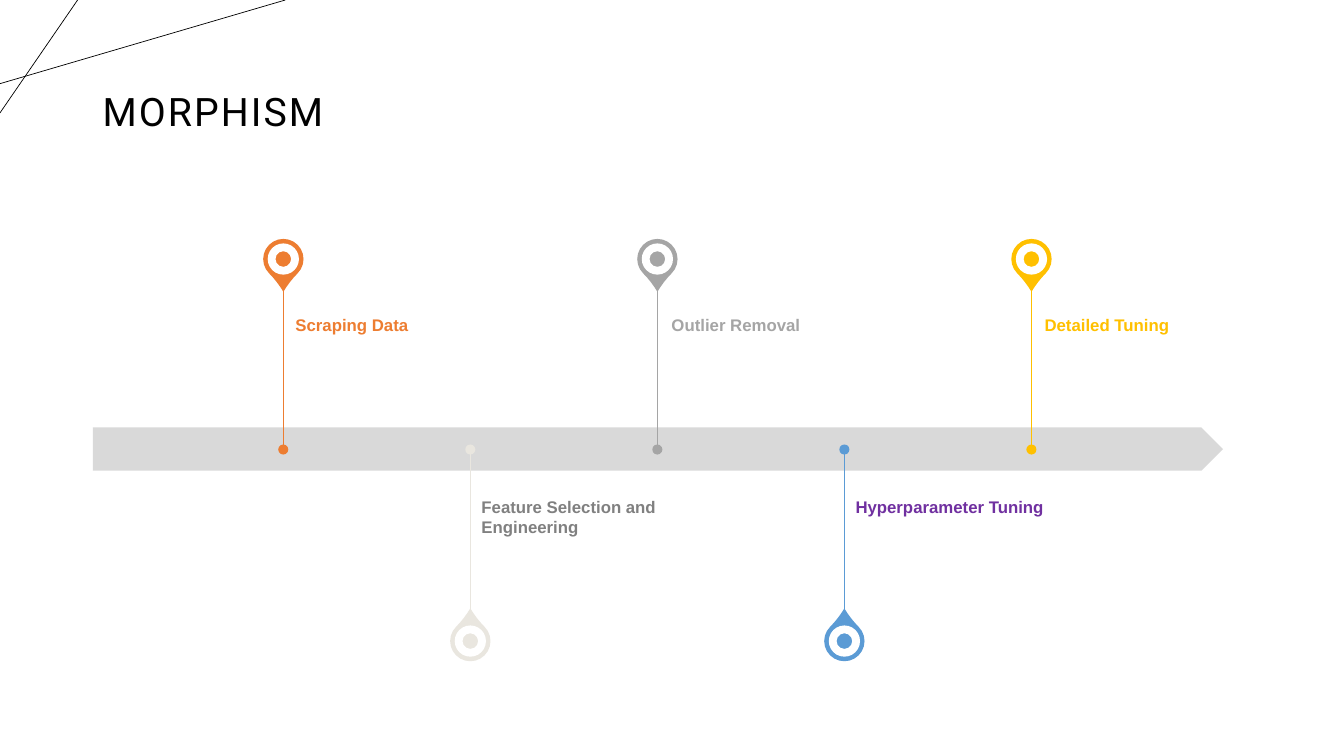
from dataclasses import dataclass

from lxml.etree import SubElement
from pptx import Presentation
from pptx.dml.color import RGBColor
from pptx.enum.shapes import MSO_CONNECTOR, MSO_SHAPE
from pptx.enum.text import MSO_ANCHOR
from pptx.oxml.ns import qn
from pptx.shapes.autoshape import Shape
from pptx.slide import Slide
from pptx.text.text import TextFrame
from pptx.util import Inches, Pt

COLORS = {
    "black": "000000", "white": "FFFFFF", "bar": "D9D9D9",
    "orange": "ED7D31", "sand": "E9E6DF", "silver": "A5A5A5",
    "blue": "5B9BD5", "gold": "FFC000", "gray": "808080", "purple": "7030A0",
}

AXIS_Y = 4.46
FIRST_X, LAST_X = 2.81, 10.23
PIN_SIZE, RING_SIZE, DOT_SIZE = 0.4, 0.31, 0.1


@dataclass
class Milestone:
    label: str
    color: str
    text_color: str
    label_gap: float
    label_height: float = 0.2


@dataclass
class Side:
    stem_end: float
    pin_y: float
    rotation: int
    label_top: float


ABOVE = Side(2.85, 2.57, 135, 3.12)
BELOW = Side(6.07, 6.36, 315, 4.93)

MILESTONES = [
    Milestone("Scraping Data", "orange", "orange", 0.12),
    Milestone("Feature Selection and Engineering", "sand", "gray", 0.11, 0.4),
    Milestone("Outlier Removal", "silver", "silver", 0.14),
    Milestone("Hyperparameter Tuning", "blue", "purple", 0.11),
    Milestone("Detailed Tuning", "gold", "gold", 0.13),
]


def rgb(name: str) -> RGBColor:
    return RGBColor.from_string(COLORS[name])


def add_line(s: Slide, x1: float, y1: float, x2: float, y2: float,
             color: str, width: float) -> None:
    line = s.shapes.add_connector(MSO_CONNECTOR.STRAIGHT, Inches(x1), Inches(y1),
                                  Inches(x2), Inches(y2))
    line.line.color.rgb = rgb(color)
    line.line.width = Pt(width)
    SubElement(line._element.spPr, qn("a:effectLst"))


def add_filled(s: Slide, kind: MSO_SHAPE, x: float, y: float, w: float, h: float,
               color: str) -> Shape:
    sp = s.shapes.add_shape(kind, Inches(x), Inches(y), Inches(w), Inches(h))
    sp.shadow.inherit = False
    sp.fill.solid()
    sp.fill.fore_color.rgb = rgb(color)
    sp.line.fill.background()
    return sp


def add_centered(s: Slide, kind: MSO_SHAPE, cx: float, cy: float, size: float,
                 color: str) -> Shape:
    return add_filled(s, kind, cx - size / 2, cy - size / 2, size, size, color)


def add_text(s: Slide, text: str, x: float, y: float, w: float, h: float,
             font: str, size: float, color: str, bold: bool) -> TextFrame:
    tf = s.shapes.add_textbox(Inches(x), Inches(y), Inches(w), Inches(h)).text_frame
    tf.word_wrap = True
    p = tf.paragraphs[0]
    p.text = text
    p.font.name = font
    p.font.size = Pt(size)
    p.font.bold = bold
    p.font.color.rgb = rgb(color)
    return tf


def add_milestone(s: Slide, m: Milestone, side: Side, x: float) -> None:
    add_line(s, x, min(side.stem_end, AXIS_Y), x, max(side.stem_end, AXIS_Y), m.color, 0.25)
    pin = add_centered(s, MSO_SHAPE.TEAR, x, side.pin_y, PIN_SIZE, m.color)
    pin.adjustments[0] = 1.15
    pin.rotation = side.rotation
    add_centered(s, MSO_SHAPE.DONUT, x, side.pin_y, RING_SIZE, "white")
    add_centered(s, MSO_SHAPE.OVAL, x, AXIS_Y, DOT_SIZE, m.color)
    tf = add_text(s, m.label, x + m.label_gap, side.label_top, 2.08, m.label_height,
                  "Arial", 12, m.text_color, True)
    tf.margin_left = tf.margin_top = tf.margin_right = tf.margin_bottom = 0


def main() -> None:
    prs = Presentation()
    prs.slide_width, prs.slide_height = Inches(13.33), Inches(7.5)
    s = prs.slides.add_slide(prs.slide_layouts[6])

    # Corner lines
    add_line(s, 0, 0.83, 2.83, 0, "black", 0.5)
    add_line(s, 0.77, 0, 0, 1.12, "black", 0.5)

    # Title
    tf = add_text(s, "MORPHISM", 0.92, 0.4, 11.5, 1.45, "Roboto", 28, "black", False)
    tf.vertical_anchor = MSO_ANCHOR.MIDDLE
    p = tf.paragraphs[0]
    p.line_spacing = 0.9
    r = p.runs[0]
    r._r.get_or_add_rPr().set("spc", "150")

    # Timeline, with milestones alternating above and below the bar
    add_filled(s, MSO_SHAPE.PENTAGON, 0.92, 4.24, 11.21, 0.43, "bar")
    pitch = (LAST_X - FIRST_X) / (len(MILESTONES) - 1)
    for i, m in enumerate(MILESTONES):
        add_milestone(s, m, BELOW if i % 2 else ABOVE, FIRST_X + i * pitch)

    prs.save("out.pptx")


if __name__ == "__main__":
    main()
